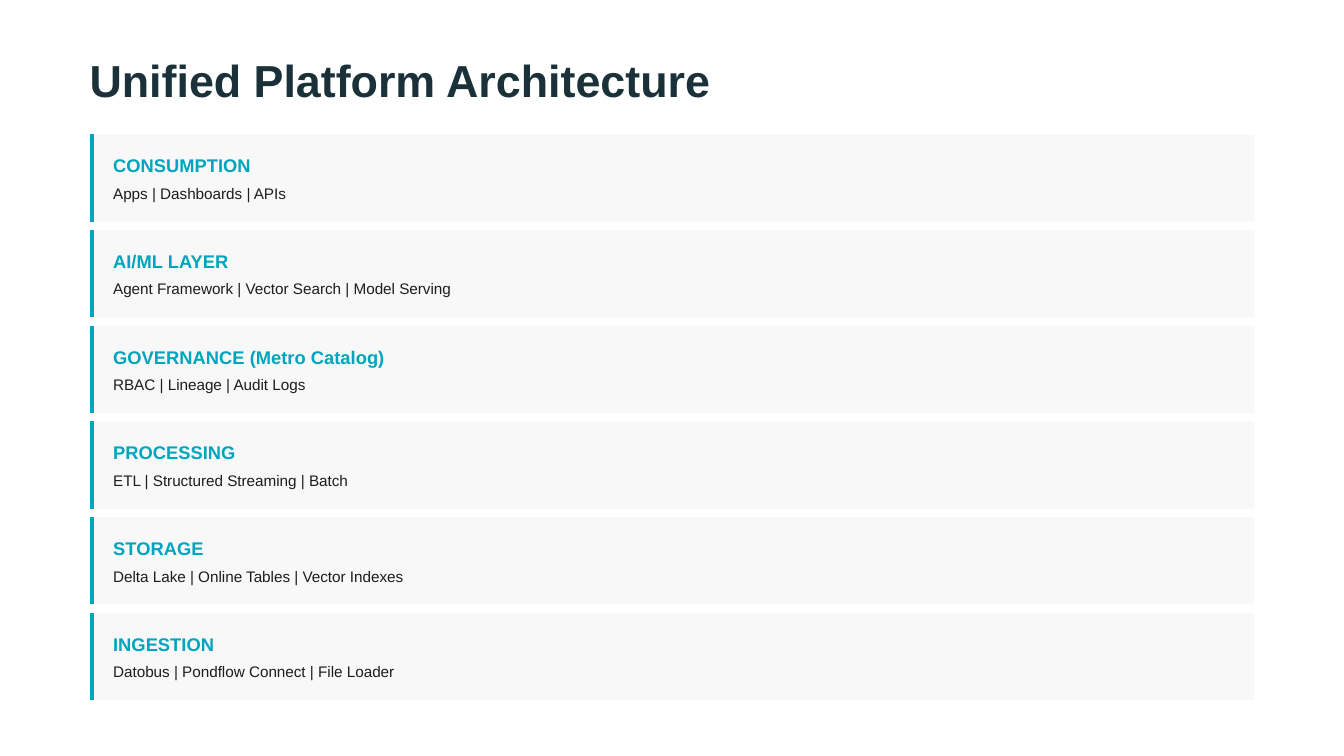
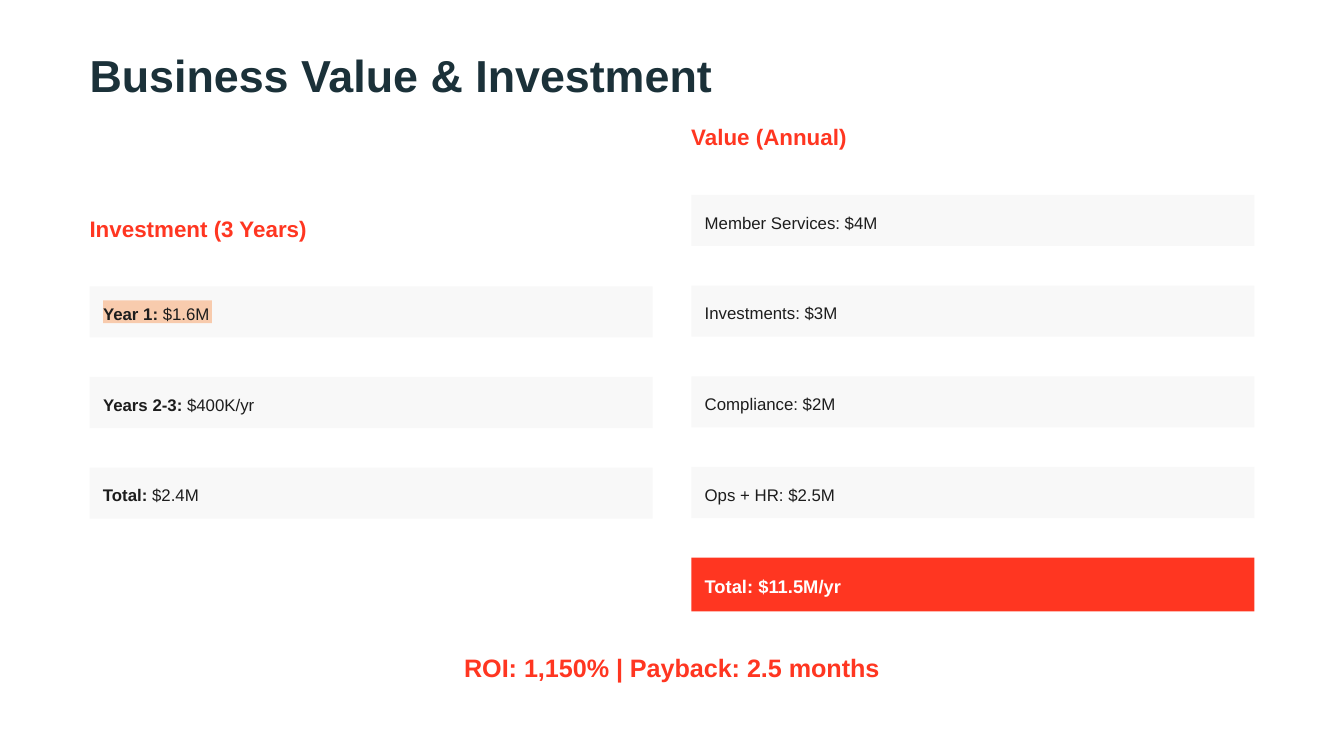
from pptx import Presentation
from pptx.dml.color import RGBColor
from pptx.enum.shapes import MSO_CONNECTOR, MSO_SHAPE
from pptx.enum.text import MSO_ANCHOR, PP_ALIGN
from pptx.oxml.ns import qn
from pptx.util import Inches, Pt
from lxml.etree import SubElement

NAVY = RGBColor(0x1B, 0x31, 0x39)
TEAL = RGBColor(0x00, 0xA4, 0xBD)
RED = RGBColor(0xFF, 0x36, 0x21)
INK = RGBColor(0x1D, 0x1D, 0x1D)
PALE = RGBColor(0xF8, 0xF8, 0xF8)
PEACH = RGBColor(0xF8, 0xCB, 0xAD)
WHITE = RGBColor(0xFF, 0xFF, 0xFF)
FONT = "Arial"

ARCHITECTURE_TITLE = "Unified Platform Architecture"
LAYERS = [
    ("CONSUMPTION", "Apps | Dashboards | APIs"),
    ("AI/ML LAYER", "Agent Framework | Vector Search | Model Serving"),
    ("GOVERNANCE (Metro Catalog)", "RBAC | Lineage | Audit Logs"),
    ("PROCESSING", "ETL | Structured Streaming | Batch"),
    ("STORAGE", "Delta Lake | Online Tables | Vector Indexes"),
    ("INGESTION", "Datobus | Pondflow Connect | File Loader"),
]

VALUE_TITLE = "Business Value & Investment"
INVESTMENT_HEADING = "Investment (3 Years)"
INVESTMENTS = [
    ("Year 1:", " $1.6M", 0.81, PEACH),
    ("Years 2-3:", " $400K/yr", 1.15, None),
    ("Total:", " $2.4M", 0.73, None),
]
VALUE_HEADING = "Value (Annual)"
VALUES = [
    ("", "Member Services: $4M", 1.31, None),
    ("", "Investments: $3M", 1.01, None),
    ("", "Compliance: $2M", 0.99, None),
    ("", "Ops + HR: $2.5M", 0.99, None),
]
VALUE_TOTAL = "Total: $11.5M/yr"
RETURN_LINE = "ROI: 1,150% | Payback: 2.5 months"

WIDTH, HEIGHT = 10, 5.625
MARGIN = WIDTH / 15
CONTENT_WIDTH = WIDTH - 2 * MARGIN
LAYER_TOP, LAYER_PITCH, LAYER_HEIGHT = 1, 3.56 / 5, 0.65
COLUMN_WIDTH = 4.19
VALUE_LEFT = WIDTH - MARGIN - COLUMN_WIDTH
ITEM_PITCH, ITEM_HEIGHT, ITEM_INSET = 2.7 / 4, 0.38, 0.1
HEADING_TO_ITEMS = 0.53


def add_bar(slide, left, top, width, height, color):
    bar = slide.shapes.add_shape(
        MSO_SHAPE.RECTANGLE, Inches(left), Inches(top), Inches(width), Inches(height))
    bar.shadow.inherit = False
    bar.fill.solid()
    bar.fill.fore_color.rgb = color
    bar.line.fill.background()
    return bar


def add_text(slide, left, top, width, height, parts, size, color, spacing=None,
             after=0, before=0, align=PP_ALIGN.LEFT, highlight=None):
    if highlight is None:
        box = slide.shapes.add_textbox(
            Inches(left), Inches(top), Inches(width), Inches(height))
    else:
        box = add_bar(slide, left, top, width, height, highlight)
    frame = box.text_frame
    frame.word_wrap = True
    frame.vertical_anchor = MSO_ANCHOR.TOP
    frame.margin_left = frame.margin_right = frame.margin_top = frame.margin_bottom = 0
    paragraph = frame.paragraphs[0]
    paragraph.alignment = align
    paragraph.space_after = Pt(after)
    paragraph.space_before = Pt(before)
    if spacing:
        paragraph.line_spacing = Pt(spacing)
    for words, bold in parts:
        run = paragraph.add_run()
        run.text = words
        run.font.name = FONT
        run.font.size = Pt(size)
        run.font.bold = bold
        run.font.color.rgb = color


def add_title(slide, title, top, after):
    add_text(slide, MARGIN, top, 4.73, 0.33, [(title, True)], 24, NAVY, 24, after)


def add_accent(slide, x, top, height):
    accent = slide.shapes.add_connector(
        MSO_CONNECTOR.STRAIGHT, Inches(x), Inches(top), Inches(x), Inches(top + height))
    accent.line.color.rgb = TEAL
    accent.line.width = Pt(2.25)
    SubElement(accent._element.spPr, qn("a:effectLst"))


def add_layer(slide, top, name, tools):
    add_bar(slide, MARGIN, top, CONTENT_WIDTH, LAYER_HEIGHT, PALE)
    add_accent(slide, MARGIN + 0.015, top, LAYER_HEIGHT)
    text_left = MARGIN + 0.175
    add_text(slide, text_left, top + 0.15, 8.51, 0.16, [(name, True)], 9.8, TEAL, after=3)
    add_text(slide, text_left, top + 0.345, 8.51, 0.16, [(tools, False)], 8.2, INK, 11.6)


def add_column(slide, left, top, heading, items):
    add_text(slide, left, top, 4.27, 0.2, [(heading, True)], 12, RED, 14.4, 7.5)
    item_top = top + HEADING_TO_ITEMS
    for label, amount, text_width, highlight in items:
        add_bar(slide, left, item_top, COLUMN_WIDTH, ITEM_HEIGHT, PALE)
        parts = [(label, True), (amount, False)] if label else [(amount, False)]
        add_text(slide, left + ITEM_INSET, item_top + 0.105, text_width, 0.17,
                 parts, 9, INK, 12.6, highlight=highlight)
        item_top += ITEM_PITCH
    return item_top


def build_architecture(slide):
    add_title(slide, ARCHITECTURE_TITLE, 0.46, 15)
    for row, (name, tools) in enumerate(LAYERS):
        add_layer(slide, LAYER_TOP + row * LAYER_PITCH, name, tools)


def build_value(slide):
    add_title(slide, VALUE_TITLE, 0.42, 7.5)
    add_column(slide, MARGIN, 1.6, INVESTMENT_HEADING, INVESTMENTS)
    total_top = add_column(slide, VALUE_LEFT, 0.92, VALUE_HEADING, VALUES)
    add_bar(slide, VALUE_LEFT, total_top, COLUMN_WIDTH, 0.4, RED)
    add_text(slide, VALUE_LEFT + ITEM_INSET, total_top + 0.105, 1.03, 0.19,
             [(VALUE_TOTAL, True)], 9.8, WHITE, 13.7)
    add_text(slide, 0.58, 4.82, WIDTH - 2 * 0.58, 0.26, [(RETURN_LINE, True)],
             13.5, RED, 18.9, before=15, align=PP_ALIGN.CENTER)


def main():
    deck = Presentation()
    deck.slide_width, deck.slide_height = Inches(WIDTH), Inches(HEIGHT)
    for build in (build_architecture, build_value):
        slide = deck.slides.add_slide(deck.slide_layouts[6])
        slide.background.fill.solid()
        slide.background.fill.fore_color.rgb = WHITE
        build(slide)
    deck.save("out.pptx")


if __name__ == "__main__":
    main()
